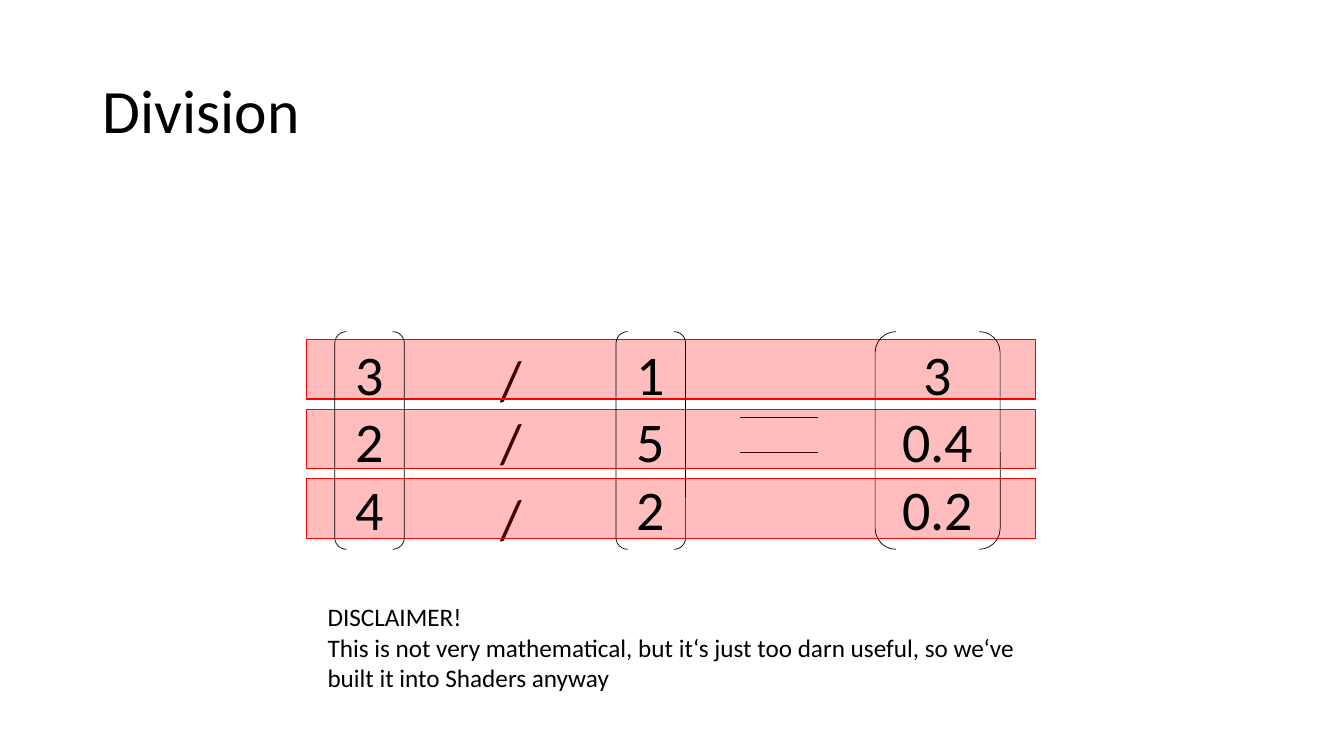
"""Builds the slide on component-wise vector division."""
import lxml.etree
import pptx
import pptx.dml.color
import pptx.enum.shapes
import pptx.enum.text
import pptx.oxml.ns
import pptx.util

PX = 9144
FONT = "Calibri"
BLACK = "000000"
RED = "FF0000"
ANCHOR = pptx.enum.text.MSO_ANCHOR
ALIGN = pptx.enum.text.PP_ALIGN
SHAPE = pptx.enum.shapes.MSO_SHAPE


def px(*lengths):
    return [pptx.util.Emu(length * PX) for length in lengths]


def color(hex_code):
    return pptx.dml.color.RGBColor.from_string(hex_code)


def set_line(line, hex_code, width):
    line.color.rgb = color(hex_code)
    line.width = pptx.util.Pt(width)


def write(frame, text, size, align=ALIGN.LEFT, anchor=ANCHOR.TOP):
    frame.text = text
    frame.word_wrap = True
    frame.vertical_anchor = anchor
    for para in frame.paragraphs:
        para.alignment = align
        for span in para.runs:
            span.font.name = FONT
            span.font.size = pptx.util.Pt(size)
            span.font.color.rgb = color(BLACK)


def add_text(page, bounds, text, size, anchor=ANCHOR.TOP):
    box = page.shapes.add_textbox(*px(*bounds))
    write(box.text_frame, text, size, anchor=anchor)
    return box


def add_rule(page, left, right, y):
    straight = pptx.enum.shapes.MSO_CONNECTOR.STRAIGHT
    rule = page.shapes.add_connector(straight, *px(left, y, right, y))
    set_line(rule.line, BLACK, 0.5)
    effects = pptx.oxml.ns.qn("a:effectLst")
    lxml.etree.SubElement(rule.element.spPr, effects)


def add_row_band(page, top):
    band = page.shapes.add_shape(SHAPE.RECTANGLE, *px(304, top, 723, 59))
    band.shadow.inherit = False
    band.fill.solid()
    band.fill.fore_color.rgb = color(RED)
    fill = band.element.spPr.find(".//" + pptx.oxml.ns.qn("a:srgbClr"))
    alpha = lxml.etree.SubElement(fill, pptx.oxml.ns.qn("a:alpha"))
    alpha.set("val", "26000")
    set_line(band.line, RED, 1)


def add_vector(page, left, width, values):
    bounds = px(left, 329, width, 216)
    vector = page.shapes.add_shape(SHAPE.DOUBLE_BRACKET, *bounds)
    vector.shadow.inherit = False
    vector.fill.background()
    set_line(vector.line, BLACK, 0.5)
    write(vector.text_frame, "\n".join(values), 40, ALIGN.CENTER, ANCHOR.MIDDLE)


def main():
    deck = pptx.Presentation()
    deck.slide_width, deck.slide_height = px(1333, 750)
    page = deck.slides.add_slide(deck.slide_layouts[6])

    title = add_text(page, (92, 40, 1150, 145), "Division", 44, ANCHOR.MIDDLE)
    title.text_frame.paragraphs[0].line_spacing = 0.9

    for y in (414, 449):
        add_rule(page, 734, 811, y)
    for top in (337, 399, 475):
        add_text(page, (487, top, 51, 77), "/", 40)
    for row in range(3):
        add_row_band(page, 337 + 69 * row)

    add_vector(page, 868, 124, ("3", "0.4", "0.2"))
    add_vector(page, 332, 69, ("3", "2", "4"))
    add_vector(page, 611, 69, ("1", "5", "2"))

    disclaimer = (
        "DISCLAIMER!\n"
        "This is not very mathematical, but it‘s just too darn useful, "
        "so we‘ve built it into Shaders anyway"
    )
    add_text(page, (315, 592, 718, 101), disclaimer, 18)
    deck.save("out.pptx")


if __name__ == "__main__":
    main()
